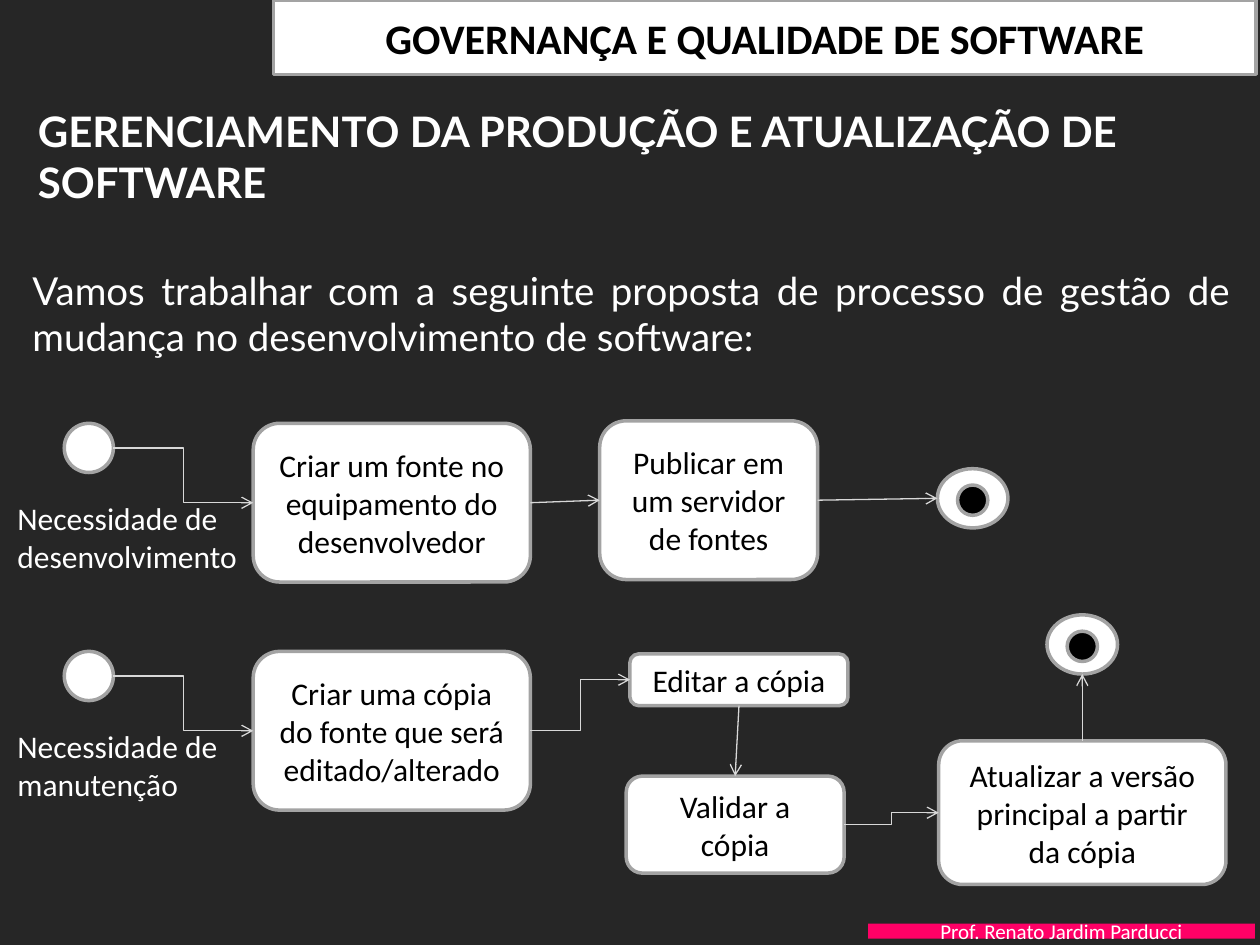
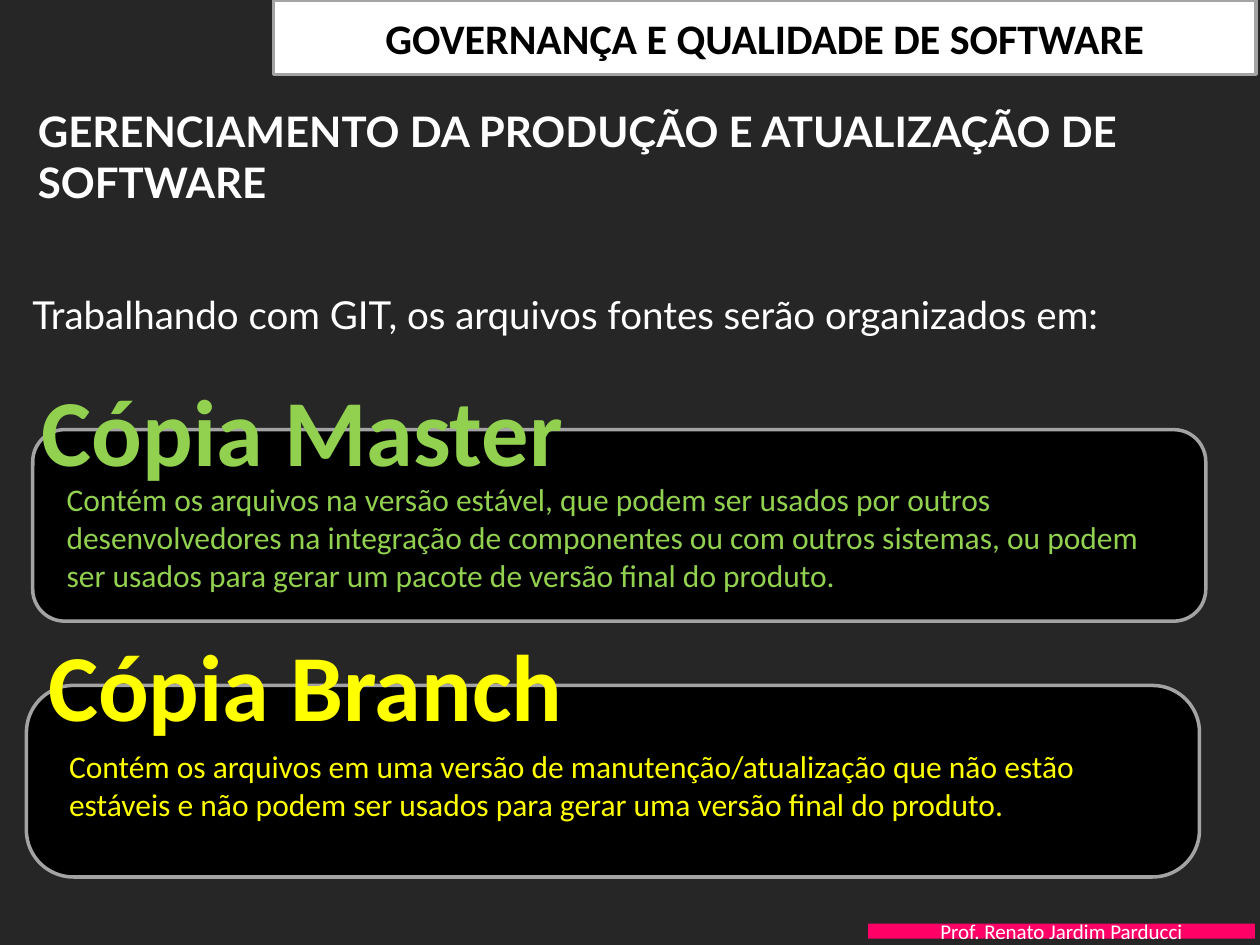
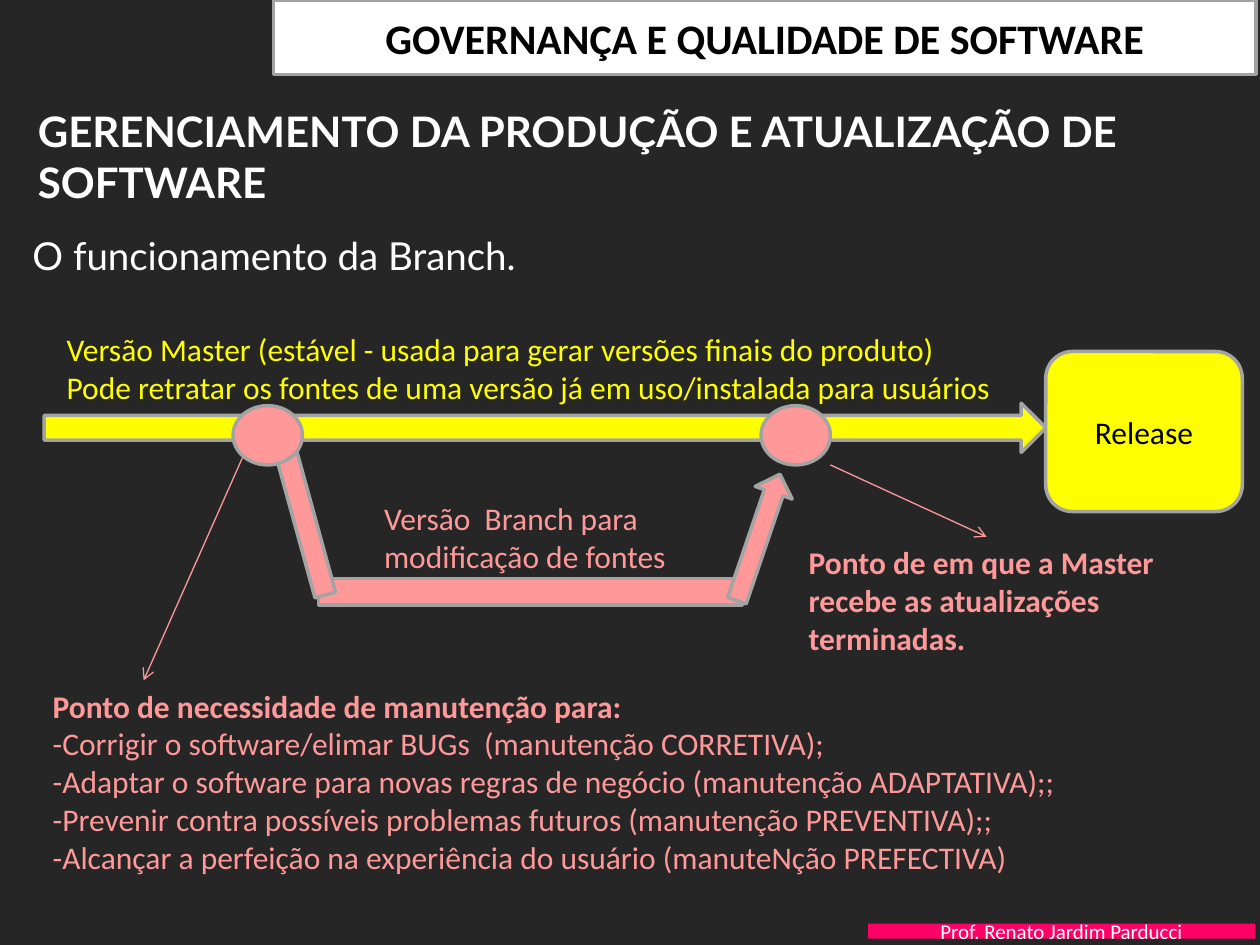
from lxml.etree import SubElement
from pptx import Presentation
from pptx.dml.color import RGBColor
from pptx.enum.shapes import MSO_CONNECTOR, MSO_SHAPE
from pptx.enum.text import MSO_ANCHOR, MSO_AUTO_SIZE, PP_ALIGN
from pptx.oxml.ns import qn
from pptx.util import Inches, Pt

DARK = RGBColor(0x26, 0x26, 0x26)
WHITE = RGBColor(0xFF, 0xFF, 0xFF)
BLACK = RGBColor(0x00, 0x00, 0x00)
GRAY = RGBColor(0xA3, 0xA3, 0xA3)
PALE = RGBColor(0xD8, 0xD8, 0xD8)
HOT = RGBColor(0xFF, 0x00, 0x66)
GREEN = RGBColor(0x92, 0xD0, 0x50)
YELLOW = RGBColor(0xFF, 0xFF, 0x00)
PINK = RGBColor(0xFF, 0x99, 0x99)

BODY = "Calibri"
HEAD = "Lato"
COURSE = "GOVERNANÇA E QUALIDADE DE SOFTWARE"
AUTHOR = "Prof. Renato Jardim Parducci"
TITLE = "GERENCIAMENTO DA PRODUÇÃO E ATUALIZAÇÃO DE SOFTWARE"
TOP, LEFT, BOTTOM, RIGHT = range(4)
SIDES = ((0.5, 0), (0, 0.5), (0.5, 1), (1, 0.5))


def write(frame, text, size=18, color=WHITE, font=BODY, bold=False,
          align=PP_ALIGN.LEFT, anchor=MSO_ANCHOR.TOP, wrap=True):
    frame.word_wrap = wrap
    frame.auto_size = MSO_AUTO_SIZE.NONE
    frame.vertical_anchor = anchor
    for index, line in enumerate(text.split("\n")):
        para = frame.paragraphs[0] if index == 0 else frame.add_paragraph()
        para.alignment = align
        run = para.add_run()
        run.text = line
        run.font.size = Pt(size)
        run.font.name = font
        run.font.bold = bold
        run.font.color.rgb = color


def label(slide, text, x, y, wide, high, **style):
    box = slide.shapes.add_textbox(
        Inches(x), Inches(y), Inches(wide), Inches(high))
    write(box.text_frame, text, **style)
    return box


def block(slide, kind, x, y, wide, high, fill=WHITE, line=GRAY, text="",
          turn=0, **style):
    shape = slide.shapes.add_shape(
        kind, Inches(x), Inches(y), Inches(wide), Inches(high))
    shape.shadow.inherit = False
    shape.rotation = turn
    shape.fill.solid()
    shape.fill.fore_color.rgb = fill
    if line is None:
        shape.line.fill.background()
    else:
        shape.line.color.rgb = line
        shape.line.width = Pt(2)
    if text:
        style = {"color": BLACK, **style}
        write(shape.text_frame, text, align=PP_ALIGN.CENTER,
              anchor=MSO_ANCHOR.MIDDLE, **style)
    return shape


def card(slide, text, x, y, wide, high, fill=WHITE):
    return block(slide, MSO_SHAPE.ROUNDED_RECTANGLE, x, y, wide, high,
                 fill=fill, text=text)


def dot(slide, x, y, wide, high, fill=WHITE):
    return block(slide, MSO_SHAPE.OVAL, x, y, wide, high, fill=fill)


def finish(slide, x, y):
    ring = dot(slide, x, y, 0.56, 0.47)
    dot(slide, x + 0.16, y + 0.13, 0.24, 0.24, BLACK)
    return ring


def arrow(slide, start, end, color, kind=MSO_CONNECTOR.STRAIGHT):
    line = slide.shapes.add_connector(kind, *start, *end)
    line.line.color.rgb = color
    line.line.width = Pt(0.75)
    SubElement(line.line._get_or_add_ln(), qn("a:tailEnd"), type="arrow")
    SubElement(line._element.spPr, qn("a:effectLst"))
    return line


def point(shape, side):
    across, down = SIDES[side]
    return (shape.left + int(shape.width * across),
            shape.top + int(shape.height * down))


def link(slide, first, second, out=RIGHT, into=LEFT,
         kind=MSO_CONNECTOR.STRAIGHT):
    line = arrow(slide, point(first, out), point(second, into), PALE, kind)
    if first.auto_shape_type != MSO_SHAPE.OVAL:
        line.begin_connect(first, out)
    if second.auto_shape_type != MSO_SHAPE.OVAL:
        line.end_connect(second, into)


def start(slide, need, text, y):
    node = dot(slide, 0.51, y, 0.39, 0.39)
    step = card(slide, text, 2.01, y, 2.2, 1.26)
    link(slide, node, step, kind=MSO_CONNECTOR.ELBOW)
    label(slide, need, 0.04, y + 0.55, 2.05, 0.71)
    return step


def page(deck, intro, y, high):
    slide = deck.slides.add_slide(deck.slide_layouts[5])
    slide.background.fill.solid()
    slide.background.fill.fore_color.rgb = DARK
    block(slide, MSO_SHAPE.RECTANGLE, 2.17, 0, 7.8, 0.59,
          text=COURSE, size=24, bold=True)
    block(slide, MSO_SHAPE.RECTANGLE, 6.89, 7.33, 3.07, 0.12, fill=HOT,
          line=None, text=AUTHOR, size=12, color=WHITE)
    title = slide.shapes.title
    title.left, title.top = Inches(0.2), Inches(0.79)
    title.width, title.height = Inches(9.22), Inches(0.86)
    write(title.text_frame, TITLE, size=24, font=HEAD, bold=True)
    title.text_frame.margin_bottom = 0
    lead = label(slide, intro, 0.16, y, 9.7, high, size=22, font=HEAD,
                 align=PP_ALIGN.JUSTIFY)
    lead.text_frame.margin_bottom = 0
    return slide


def flow(deck):
    slide = page(deck, "Vamos trabalhar com a seguinte proposta de processo "
                 "de gestão de mudança no desenvolvimento de software:",
                 2.07, 0.8)
    create = start(slide, "Necessidade de desenvolvimento",
                   "Criar um fonte no equipamento do desenvolvedor", 3.36)
    publish = card(slide, "Publicar em um servidor de fontes",
                   4.76, 3.34, 1.73, 1.26)
    link(slide, create, publish)
    link(slide, publish, finish(slide, 7.44, 3.72))

    copy = start(slide, "Necessidade de manutenção",
                 "Criar uma cópia do fonte que será editado/alterado", 5.17)
    edit = card(slide, "Editar a cópia", 5, 5.19, 1.73, 0.41)
    check = card(slide, "Validar a cópia", 4.97, 6.16, 1.73, 0.77)
    update = card(slide, "Atualizar a versão principal a partir da cópia",
                  7.45, 5.88, 2.28, 1.14)
    link(slide, copy, edit, kind=MSO_CONNECTOR.ELBOW)
    link(slide, edit, check, BOTTOM, TOP)
    link(slide, check, update, kind=MSO_CONNECTOR.ELBOW)
    link(slide, update, finish(slide, 8.31, 4.88), TOP, BOTTOM)


def copies(deck):
    slide = page(deck, "Trabalhando com GIT, os arquivos fontes serão "
                 "organizados em:", 2.26, 0.42)
    branch = card(slide, "", 0.21, 5.44, 9.31, 1.52, BLACK)
    branch.adjustments[0] = 0.245
    card(slide, "", 0.26, 3.41, 9.31, 1.52, BLACK)
    big = dict(size=54, bold=True, align=PP_ALIGN.CENTER, wrap=False)
    label(slide, "Cópia Master", 0.21, 2.9, 4.38, 1.01, color=GREEN, **big)
    label(slide, "Cópia Branch", 0.26, 4.93, 4.33, 1.01, color=YELLOW, **big)
    label(slide, "Contém os arquivos na versão estável, que podem ser usados "
          "por outros desenvolvedores na integração de componentes ou com "
          "outros sistemas, ou podem ser usados para gerar um pacote de "
          "versão final do produto.", 0.43, 3.76, 8.98, 1.01, color=GREEN)
    label(slide, "Contém os arquivos em uma versão de manutenção/atualização "
          "que não estão estáveis e não podem ser usados para gerar uma "
          "versão final do produto.", 0.45, 5.88, 8.98, 0.71, color=YELLOW)


def branching(deck):
    slide = page(deck, "O funcionamento da Branch.", 1.79, 0.42)
    block(slide, MSO_SHAPE.RIGHT_ARROW, 0.35, 3.2, 7.95, 0.39, YELLOW)
    label(slide, "Versão Master (estável - usada para gerar versões finais do "
          "produto)\nPode retratar os fontes de uma versão já em "
          "uso/instalada para usuários", 0.43, 2.57, 7.61, 0.71,
          color=YELLOW, wrap=False)
    card(slide, "Release", 8.3, 2.79, 1.56, 1.27, YELLOW)
    needs = label(
        slide, "Ponto de necessidade de manutenção para:\n"
        "-Corrigir o software/elimar BUGs  (manutenção CORRETIVA);\n"
        "-Adaptar o software para novas regras de negócio "
        "(manutenção ADAPTATIVA);;\n"
        "-Prevenir contra possíveis problemas futuros "
        "(manutenção PREVENTIVA);;\n"
        "-Alcançar a perfeição na experiência do usuário "
        "(manuteNção PREFECTIVA)", 0.32, 5.4, 8.93, 1.62, color=PINK)
    needs.text_frame.paragraphs[0].runs[0].font.bold = True
    arrow(slide, (Inches(1.93), Inches(3.62)),
          (Inches(1.14), Inches(5.4)), PINK)
    block(slide, MSO_SHAPE.RECTANGLE, 2.53, 4.59, 3.36, 0.21, PINK)
    block(slide, MSO_SHAPE.RECTANGLE, 1.81, 4.05, 1.22, 0.17, PINK, turn=74.6)
    for x in (1.85, 6.04):
        dot(slide, x, 3.22, 0.55, 0.47, PINK)
    label(slide, "Versão  Branch para modificação de fontes",
          2.95, 3.91, 3.39, 0.71, color=PINK)
    block(slide, MSO_SHAPE.RIGHT_ARROW, 5.49, 4.11, 1.06, 0.31, PINK,
          turn=288.8)
    arrow(slide, (Inches(6.59), Inches(3.69)),
          (Inches(7.83), Inches(4.26)), PINK)
    label(slide, "Ponto de em que a Master recebe as atualizações terminadas.",
          6.32, 4.26, 3.53, 1.01, color=PINK, bold=True)


def main():
    deck = Presentation()
    deck.slide_width, deck.slide_height = Inches(10), Inches(7.5)
    flow(deck)
    copies(deck)
    branching(deck)
    deck.save("out.pptx")


if __name__ == "__main__":
    main()
